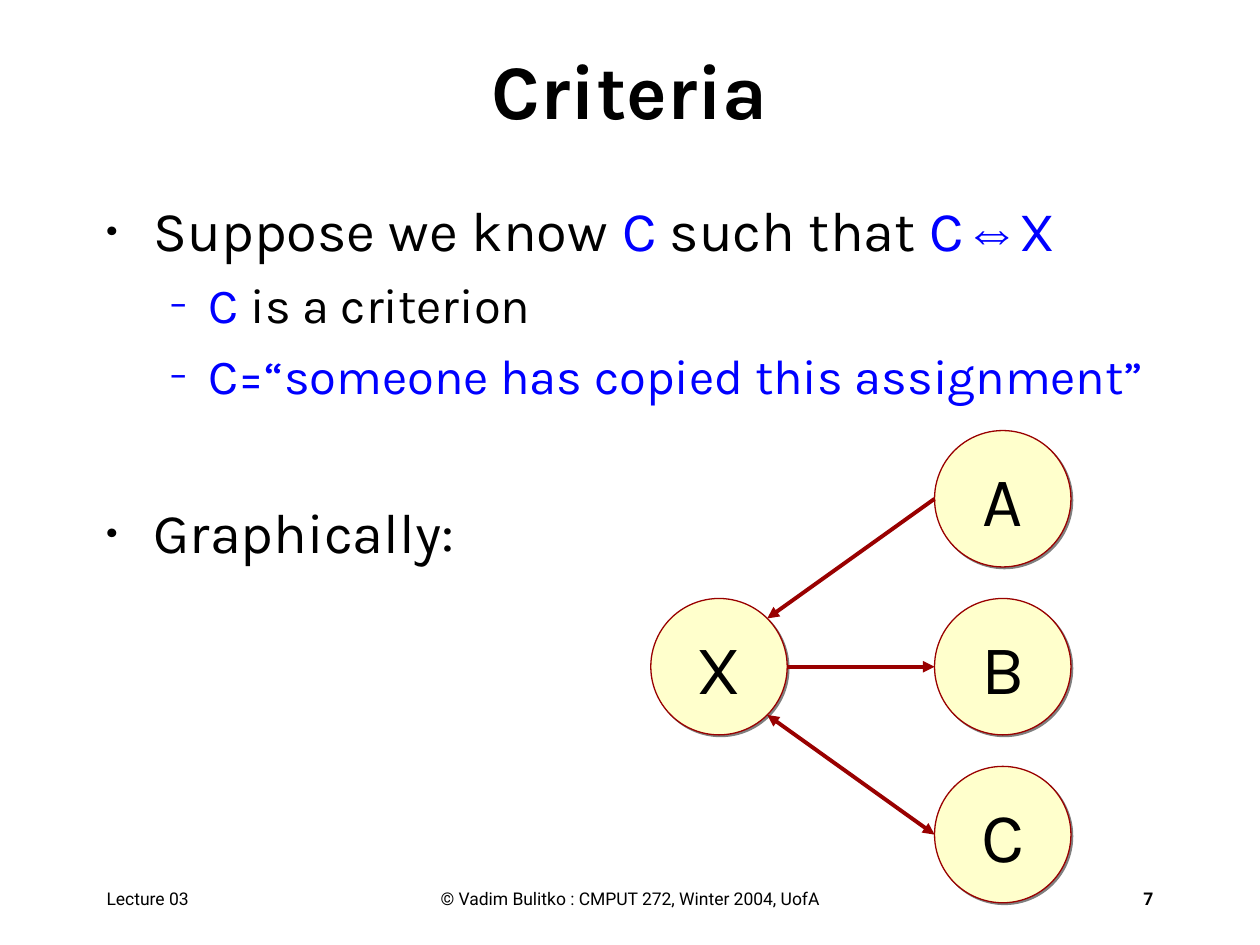
from math import cos, pi, sin

from lxml.etree import SubElement
from pptx import Presentation
from pptx.dml.color import RGBColor
from pptx.enum.shapes import MSO_CONNECTOR, MSO_SHAPE
from pptx.enum.text import MSO_ANCHOR, PP_ALIGN
from pptx.oxml.ns import qn
from pptx.util import Cm, Pt

BLACK, BLUE, RED, CREAM = "000000", "0000FF", "990000", "FFFFCC"


def color(code):
    return RGBColor.from_string(code)


def add(node, tag, **attrs):
    return SubElement(node, qn(tag), **attrs)


def add_run(para, text, size, font, tint=BLACK, bold=False):
    run = para.add_run()
    run.text = text
    run.font.size = Pt(size)
    run.font.name = font
    run.font.bold = bold
    run.font.color.rgb = color(tint)
    return run


def add_box(slide, box, anchor=MSO_ANCHOR.TOP):
    frame = slide.shapes.add_textbox(*map(Cm, box)).text_frame
    frame.word_wrap = True
    frame.vertical_anchor = anchor
    return frame


def add_shadow(effects):
    shade = add(effects, "a:outerShdw", dist=str(Pt(1.4)), dir="2700000",
                algn="ctr", rotWithShape="0")
    tint = add(shade, "a:srgbClr", val=BLACK)
    add(tint, "a:alpha", val="50000")


def add_title(slide, box):
    para = add_box(slide, box, MSO_ANCHOR.MIDDLE).paragraphs[0]
    para.alignment = PP_ALIGN.CENTER
    props = add_run(para, "Criteria", 44, "Karla", bold=True).font._element
    # Effects belong between the fill and the typeface
    effects = add(props, "a:effectLst")
    props.find(qn("a:solidFill")).addnext(effects)
    add_shadow(effects)


def add_bullet(para, mark, tint, left, hang):
    props = para._p.get_or_add_pPr()
    props.set("marL", str(Cm(left)))
    props.set("indent", str(-Cm(hang)))
    add(add(props, "a:buClr"), "a:srgbClr", val=tint)
    add(props, "a:buSzPct", val="75000")
    add(props, "a:buFont", typeface="Karla")
    add(props, "a:buChar", char=mark)


def add_body(slide, box):
    # Level, space before, runs of (text, colour, font)
    items = [
        (0, 0, [("Suppose we know ", BLACK, "Karla"), ("C", BLUE, "Karla"),
                (" such that ", BLACK, "Karla"), ("C", BLUE, "Karla"),
                ("⇔", BLUE, "Arial"), ("X", BLUE, "Karla")]),
        (1, 7, [("C", BLUE, "Karla"), (" is a criterion", BLACK, "Karla")]),
        (1, 7, [("C=“someone has copied this assignment”", BLUE, "Karla")]),
        (0, 53, [("Graphically:", BLACK, "Karla")]),
    ]
    # Mark, mark colour, left indent, hanging indent, text size
    levels = [("•", BLACK, 0.95, 0.95, 32), ("–", BLUE, 2.06, 0.79, 28)]
    frame = add_box(slide, box)
    for i, (level, gap, runs) in enumerate(items):
        para = frame.add_paragraph() if i else frame.paragraphs[0]
        *mark, size = levels[level]
        para.level = level
        para.space_before = Pt(gap)
        add_bullet(para, *mark)
        for text, tint, font in runs:
            add_run(para, text, size, font, tint)


def add_node(slide, name, left, top, size):
    node = slide.shapes.add_shape(MSO_SHAPE.OVAL, *map(Cm, (left, top, size, size)))
    node.fill.solid()
    node.fill.fore_color.rgb = color(CREAM)
    node.line.color.rgb = color(RED)
    node.line.width = Pt(0.75)
    node.shadow.inherit = False
    add_shadow(node._element.spPr.find(qn("a:effectLst")))
    frame = node.text_frame
    frame.word_wrap = False
    frame.vertical_anchor = MSO_ANCHOR.MIDDLE
    para = frame.paragraphs[0]
    para.alignment = PP_ALIGN.CENTER
    add_run(para, name, 40, "Karla")


def add_arrow(slide, start, end, tips):
    line = slide.shapes.add_connector(
        MSO_CONNECTOR.STRAIGHT, *map(Cm, start + end))
    line.line.color.rgb = color(RED)
    line.line.width = Pt(2.25)
    for tip in tips:
        add(line.line._get_or_add_ln(), tip, type="triangle")
    add(line._element.spPr, "a:effectLst")


def add_graph(slide, box):
    left, top, width, height = box
    size = 2.75
    radius = size / 2
    step = (height - size) / 2
    right = left + width - size
    add_node(slide, "X", left, top + step, size)
    for row, name in enumerate("ABC"):
        add_node(slide, name, right, top + row * step, size)

    # Arrows run from the left edge of A, B, C to the rim of X
    head, tail = "a:headEnd", "a:tailEnd"
    for row, tips in enumerate([[tail], [head], [head, tail]]):
        angle = (row - 1) * pi / 4
        rim = (left + radius * (1 + cos(angle)),
               top + step + radius * (1 + sin(angle)))
        add_arrow(slide, (right, top + row * step + radius), rim, tips)


def add_footer(slide, box):
    left, top, width, height = box
    side, mid = 5.29, 10.58
    parts = [
        ("Lecture 03", left, side, PP_ALIGN.LEFT, False),
        ("© Vadim Bulitko : CMPUT 272, Winter 2004, UofA",
         left + (width - mid) / 2, mid, PP_ALIGN.CENTER, False),
        ("7", left + width - side, side, PP_ALIGN.RIGHT, True),
    ]
    for text, start, span, align, bold in parts:
        para = add_box(slide, (start, top, span, height)).paragraphs[0]
        para.alignment = align
        add_run(para, text, 10, "Roboto", bold=bold)


def main():
    deck = Presentation()
    deck.slide_width, deck.slide_height = Cm(25.4), Cm(19.05)
    slide = deck.slides.add_slide(deck.slide_layouts[6])
    add_footer(slide, (1.9, 17.78, 21.6, 0.85))
    add_title(slide, (1.9, 0.42, 21.6, 2.75))
    add_body(slide, (1.9, 3.81, 21.6, 13.76))
    add_graph(slide, (13.12, 8.68, 8.47, 9.52))
    deck.save("out.pptx")


if __name__ == "__main__":
    main()
